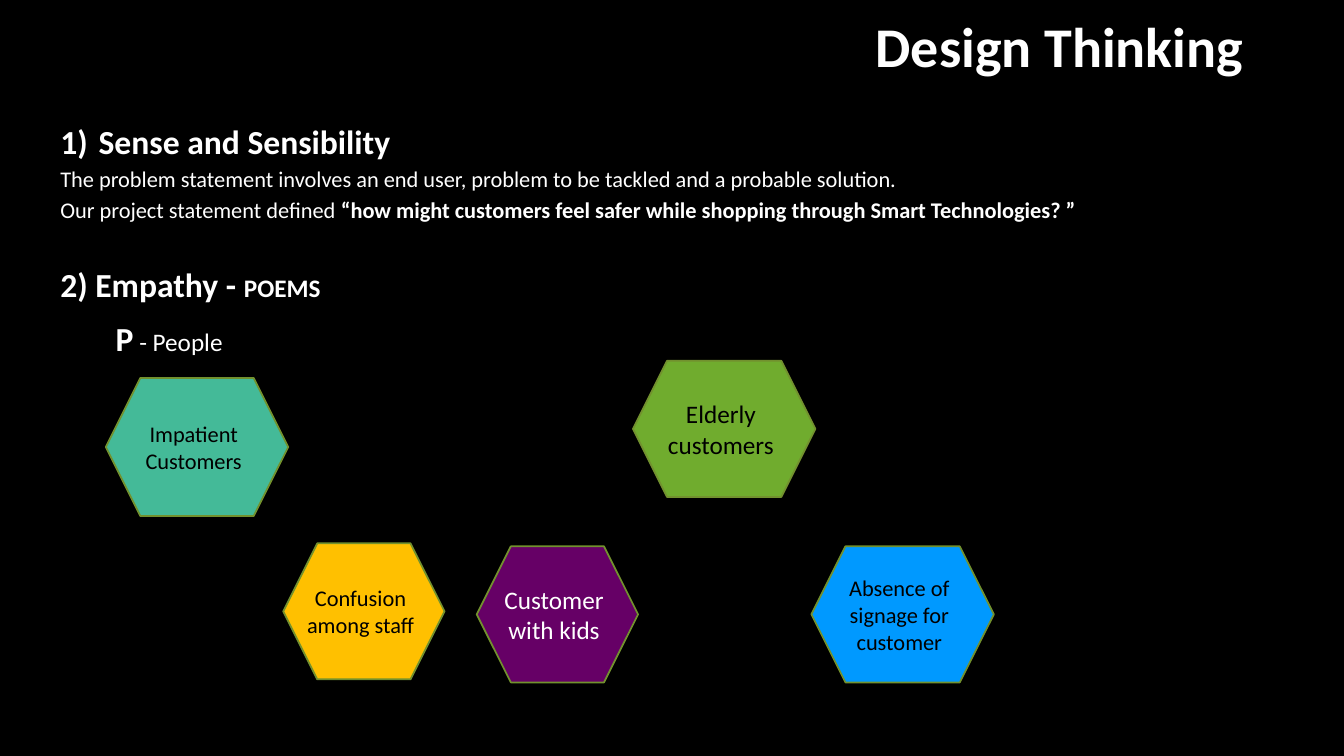
from pptx import Presentation
from pptx.dml.color import RGBColor
from pptx.enum.shapes import MSO_SHAPE
from pptx.enum.text import MSO_ANCHOR, PP_ALIGN
from pptx.oxml.ns import qn
from pptx.util import Inches, Pt
from lxml.etree import SubElement

BLACK = RGBColor(0x00, 0x00, 0x00)
WHITE = RGBColor(0xFF, 0xFF, 0xFF)
TEAL = RGBColor(0x44, 0xBA, 0x98)
PURPLE = RGBColor(0x66, 0x00, 0x66)
GREEN = RGBColor(0x70, 0xAC, 0x2E)
BLUE = RGBColor(0x00, 0x99, 0xFF)
AMBER = RGBColor(0xFF, 0xC0, 0x00)
OLIVE = RGBColor(0x72, 0x91, 0x2E)

SLIDE_WIDTH, SLIDE_HEIGHT = Inches(13.33), Inches(7.5)
COLUMN, ROW = SLIDE_WIDTH / 40, SLIDE_HEIGHT / 30
NUMBER_INDENT = Inches(0.38)

PEOPLE = [
    ("Impatient Customers", 16, BLACK, TEAL, (3.15, 15, 5.43, 5.48), 4.32),
    ("Customer with kids", 18, WHITE, PURPLE, (14.19, 21.68, 4.8, 5.4), 3.84),
    ("Elderly customers", 18, BLACK, GREEN, (18.84, 14.32, 5.43, 5.4), 4.32),
    ("Absence of signage for customer", 16, BLACK, BLUE, (24.15, 21.68, 5.43, 5.4), 4.32),
    ("Confusion among staff", 16, BLACK, AMBER, (8.43, 21.56, 4.8, 5.4), 4.32),
]


def on_grid(box):
    left, top, width, height = box
    return [round(v) for v in (left * COLUMN, top * ROW, width * COLUMN, height * ROW)]


def add_text(shapes, box, wrap=True):
    frame = shapes.add_textbox(*on_grid(box)).text_frame
    frame.word_wrap = wrap
    return frame


def add_run(paragraph, words, size, bold=False, color=WHITE):
    run = paragraph.add_run()
    run.text = words
    run.font.name = "Calibri"
    run.font.size = Pt(size)
    run.font.bold = bold
    run.font.color.rgb = color


def add_body_paragraph(paragraph, runs):
    paragraph.alignment = PP_ALIGN.JUSTIFY
    paragraph.line_spacing = 1.15
    for words, size, bold in runs:
        add_run(paragraph, words, size, bold)


def number_heading(paragraph):
    properties = paragraph._p.get_or_add_pPr()
    properties.set("marL", str(NUMBER_INDENT))
    properties.set("indent", str(-NUMBER_INDENT))
    SubElement(properties, qn("a:buFont"), typeface="+mj-lt")
    SubElement(properties, qn("a:buAutoNum"), type="arabicParenR")


def add_title(slide, box):
    title = add_text(slide.shapes, box).paragraphs[0]
    add_run(title, "Design Thinking", 40, True)


def add_steps(slide, box):
    frame = add_text(slide.shapes, box)
    sense = frame.paragraphs[0]
    add_body_paragraph(sense, [("Sense and Sensibility", 24, True)])
    number_heading(sense)
    add_body_paragraph(frame.add_paragraph(), [
        ("The problem statement involves an end user, problem to be tackled "
         "and a probable solution.", 16, False)])
    add_body_paragraph(frame.add_paragraph(), [
        ("Our project statement defined ", 16, False),
        ("“how might customers feel safer while shopping through "
         "Smart Technologies? ”", 16, True)])
    empathy = frame.add_paragraph()
    add_body_paragraph(empathy, [("2) Empathy - ", 24, True), ("POEMS", 18, True)])
    empathy.space_before = Pt(25)


def add_people_heading(slide, box):
    heading = add_text(slide.shapes, box, wrap=False).paragraphs[0]
    add_body_paragraph(heading, [("P", 24, True), (" - People", 18, False)])


def add_person(slide, box, words, size, ink, fill, label_width):
    left, top, width, height = box
    group = slide.shapes.add_group_shape()
    hexagon = group.shapes.add_shape(MSO_SHAPE.HEXAGON, *on_grid(box))
    hexagon.shadow.inherit = False
    hexagon.fill.solid()
    hexagon.fill.fore_color.rgb = fill
    hexagon.line.color.rgb = OLIVE
    hexagon.line.width = Pt(1.25)
    label_left = left + (width - label_width) / 2 - 0.1
    label = add_text(group.shapes, (label_left, top, label_width, height))
    label.vertical_anchor = MSO_ANCHOR.MIDDLE
    label.paragraphs[0].alignment = PP_ALIGN.CENTER
    add_run(label.paragraphs[0], words, size, color=ink)


def main():
    deck = Presentation()
    deck.slide_width, deck.slide_height = SLIDE_WIDTH, SLIDE_HEIGHT
    slide = deck.slides.add_slide(deck.slide_layouts[6])
    slide.background.fill.solid()
    slide.background.fill.fore_color.rgb = BLACK
    add_steps(slide, (1.5, 4.36, 38.05, 7.88))
    add_title(slide, (25.77, 0.28, 14.2, 3.08))
    add_people_heading(slide, (3.15, 12.16, 3.87, 2.16))
    for words, size, ink, fill, box, label_width in PEOPLE:
        add_person(slide, box, words, size, ink, fill, label_width)
    deck.save("out.pptx")


if __name__ == "__main__":
    main()
